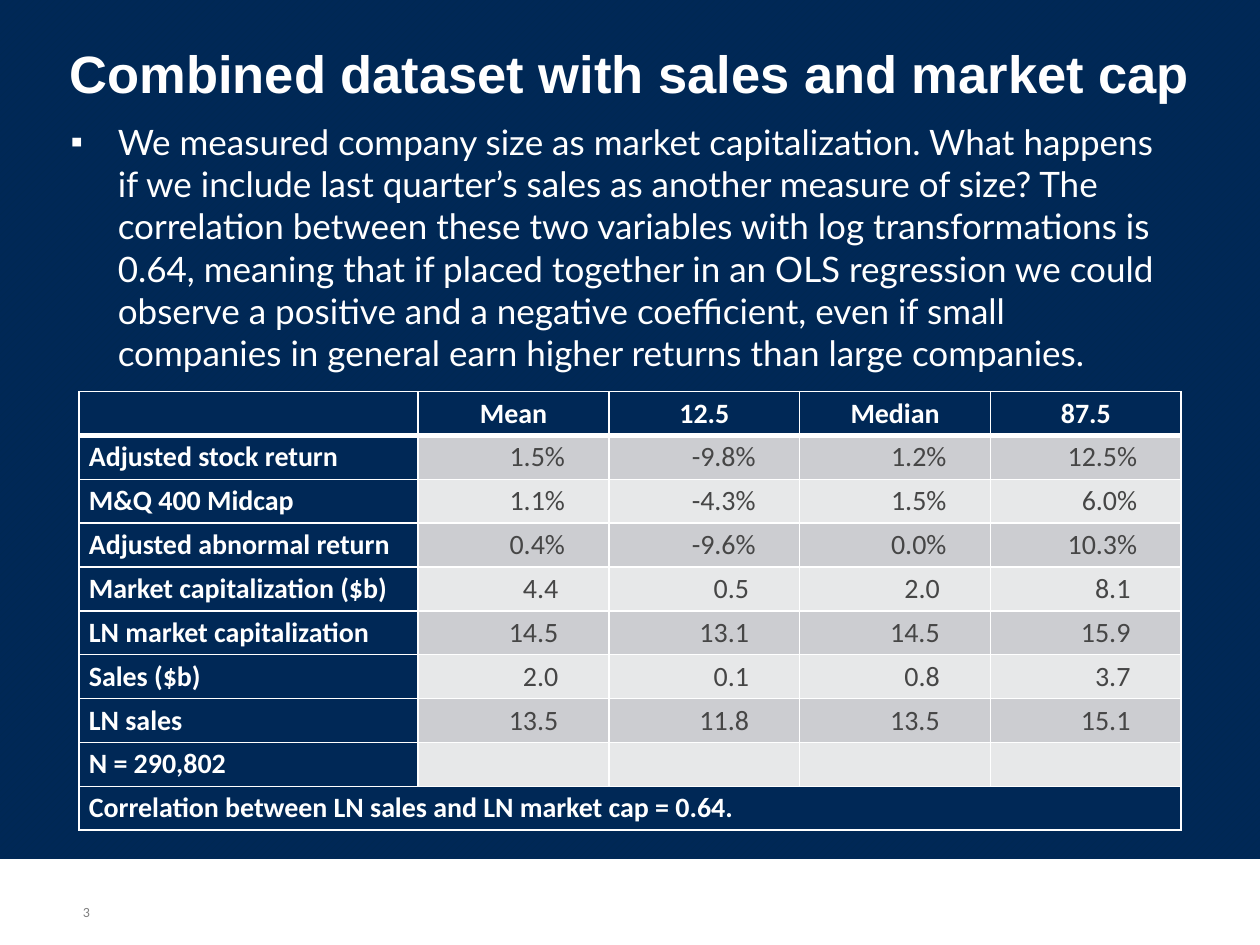
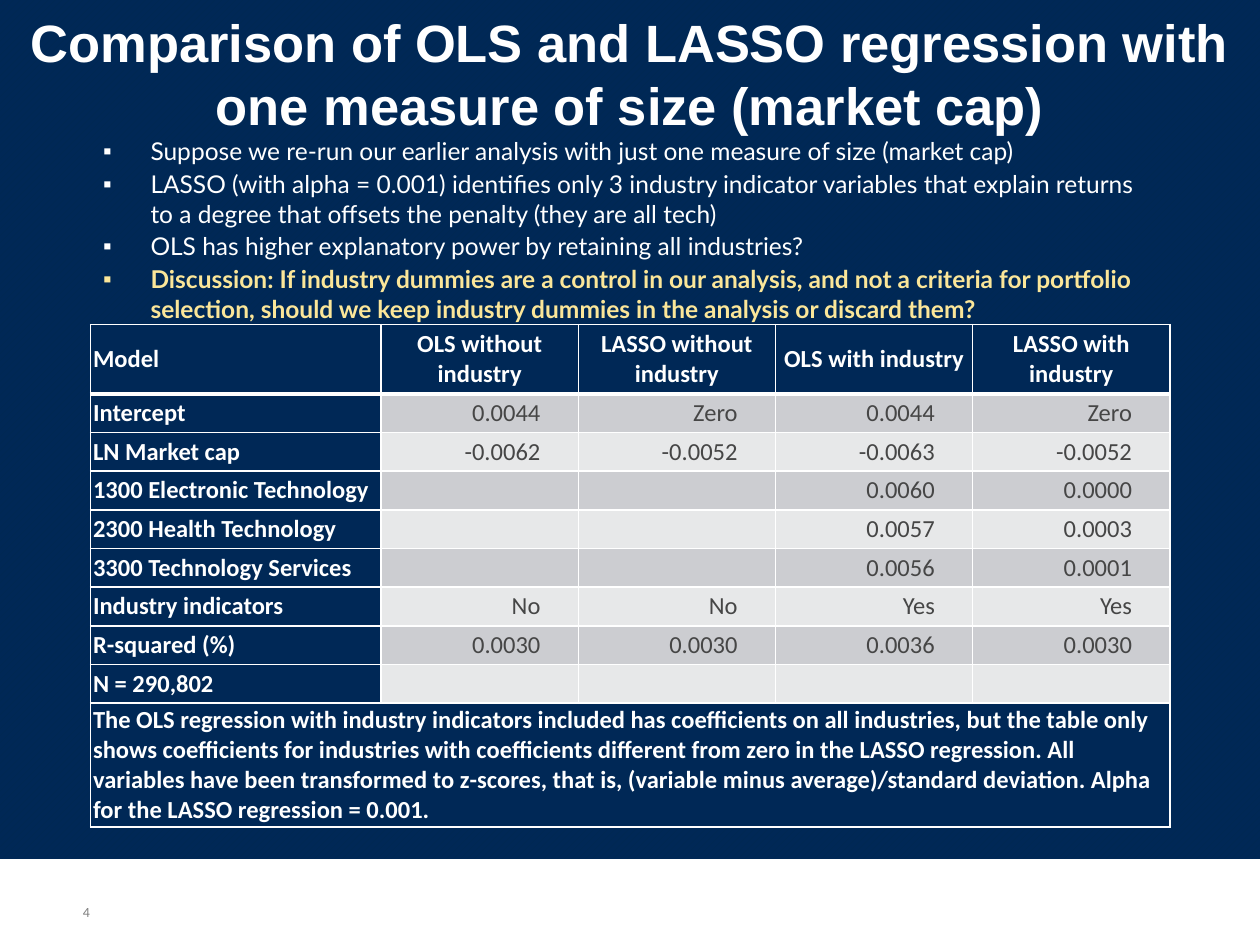
from dataclasses import dataclass

from lxml import etree
from pptx import Presentation
from pptx.dml.color import RGBColor
from pptx.enum.dml import MSO_PATTERN
from pptx.enum.shapes import MSO_SHAPE
from pptx.enum.text import MSO_ANCHOR, MSO_AUTO_SIZE, PP_ALIGN
from pptx.oxml.ns import qn
from pptx.util import Pt

RECTANGLE = MSO_SHAPE.RECTANGLE
DIAGONAL = MSO_PATTERN.WIDE_UPWARD_DIAGONAL
TOP, MIDDLE, BOTTOM = MSO_ANCHOR.TOP, MSO_ANCHOR.MIDDLE, MSO_ANCHOR.BOTTOM
LEFT, CENTER, RIGHT = PP_ALIGN.LEFT, PP_ALIGN.CENTER, PP_ALIGN.RIGHT
NO_AUTOFIT = MSO_AUTO_SIZE.NONE


@dataclass(frozen=True)
class Theme:
    navy: str = "002856"
    navy_stripe: str = "002850"
    white: str = "FFFFFF"
    highlight: str = "FBE699"
    value: str = "464646"
    number: str = "808080"
    stripes: tuple = ("CCCDD1", "E7E8E9")
    title_font: str = "Arial"
    body_font: str = "Lato"
    table_font: str = "Calibri"
    title_size: int = 30
    number_size: int = 8
    thin: int = 1
    thick: int = 3


THEME = Theme()
SLIDE_WIDTH, SLIDE_HEIGHT = 720, 540
BAND_TOP = 491
NUMBER_BOX = (40.3, 504, 26, 25.2)
BULLET_INDENT = 27

SLIDES = [
    {
        "number": "3",
        "title": "Combined dataset with sales and market cap",
        "title_box": (7.2, 18, 705.6, 46.8),
        "body_box": (33.1, 65.5, 641.5, 393.8),
        "body_size": 20,
        "bullets": [
            ("We measured company size as market capitalization. What happens if we include "
             "last quarter’s sales as another measure of size? The correlation between these "
             "two variables with log transformations is 0.64, meaning that if placed together "
             "in an OLS regression we could observe a positive and a negative coefficient, even "
             "if small companies in general earn higher returns than large companies.", False),
        ],
        "table": {
            "left": 45, "top": 223.8, "label_width": 194, "value_width": 109,
            "header_height": 25.06, "row_height": 25.06, "note_height": 25.06,
            "size": 16, "inset": 5.8, "value_inset": 29, "percent_inset": 25.2,
            "header": ["", "Mean", "12.5", "Median", "87.5"],
            "rows": [
                ["Adjusted stock return", "1.5%", "-9.8%", "1.2%", "12.5%"],
                ["M&Q 400 Midcap", "1.1%", "-4.3%", "1.5%", "6.0%"],
                ["Adjusted abnormal return", "0.4%", "-9.6%", "0.0%", "10.3%"],
                ["Market capitalization ($b)", "4.4", "0.5", "2.0", "8.1"],
                ["LN market capitalization", "14.5", "13.1", "14.5", "15.9"],
                ["Sales ($b)", "2.0", "0.1", "0.8", "3.7"],
                ["LN sales", "13.5", "11.8", "13.5", "15.1"],
                ["N = 290,802", "", "", "", ""],
            ],
            "note": "Correlation between LN sales and LN market cap = 0.64.",
        },
    },
    {
        "number": "4",
        "title": "Comparison of OLS and LASSO regression with one measure of size (market cap)",
        "title_box": (7.2, 0, 705.6, 83.5),
        "body_box": (51.8, 74.2, 617, 101.5),
        "body_size": 14,
        "bullets": [
            ("Suppose we re-run our earlier analysis with just one measure of size (market cap)",
             False),
            ("LASSO (with alpha = 0.001) identifies only 3 industry indicator variables that "
             "explain returns to a degree that offsets the penalty (they are all tech)", False),
            ("OLS has higher explanatory power by retaining all industries?", False),
            ("Discussion: If industry dummies are a control in our analysis, and not a criteria "
             "for portfolio selection, should we keep industry dummies in the analysis or "
             "discard them?", True),
        ],
        "table": {
            "left": 51.8, "top": 185.5, "label_width": 166, "value_width": 112.7,
            "header_height": 39.6, "row_height": 22.1, "note_height": 70,
            "size": 14, "inset": 1.4, "value_inset": 21.6, "percent_inset": 21.6,
            "header": ["Model", "OLS without industry", "LASSO without industry",
                       "OLS with industry", "LASSO with industry"],
            "rows": [
                ["Intercept", "0.0044", "Zero", "0.0044", "Zero"],
                ["LN Market cap", "-0.0062", "-0.0052", "-0.0063", "-0.0052"],
                ["1300 Electronic Technology", "", "", "0.0060", "0.0000"],
                ["2300 Health Technology", "", "", "0.0057", "0.0003"],
                ["3300 Technology Services", "", "", "0.0056", "0.0001"],
                ["Industry indicators", "No", "No", "Yes", "Yes"],
                ["R-squared (%)", "0.0030", "0.0030", "0.0036", "0.0030"],
                ["N = 290,802", "", "", "", ""],
            ],
            "note": "The OLS regression with industry indicators included has coefficients on "
                    "all industries, but the table only shows coefficients for industries with "
                    "coefficients different from zero in the LASSO regression. All variables "
                    "have been transformed to z-scores, that is, (variable minus "
                    "average)/standard deviation. Alpha for the LASSO regression = 0.001.",
        },
    },
]


def rgb(color):
    return RGBColor.from_string(color)


def place(shape, box):
    shape.left, shape.top, shape.width, shape.height = (Pt(length) for length in box)


def add_run(paragraph, text, font, size, color, bold=False):
    run = paragraph.add_run()
    run.text = text
    run.font.name = font
    run.font.size = Pt(size)
    run.font.bold = bold
    run.font.color.rgb = rgb(color)


def set_frame(frame, anchor):
    frame.word_wrap = True
    frame.auto_size = NO_AUTOFIT
    frame.vertical_anchor = anchor


def add_title(slide, text, box):
    title = slide.shapes.title
    place(title, box)
    frame = title.text_frame
    set_frame(frame, MIDDLE)
    frame.margin_left = frame.margin_right = frame.margin_top = frame.margin_bottom = Pt(5)
    frame.paragraphs[0].alignment = CENTER
    add_run(frame.paragraphs[0], text, THEME.title_font, THEME.title_size, THEME.white, True)


def add_bullets(slide, bullets, box, size):
    body = slide.placeholders[1]
    place(body, box)
    frame = body.text_frame
    set_frame(frame, TOP)
    for index, (text, highlighted) in enumerate(bullets):
        paragraph = frame.add_paragraph() if index else frame.paragraphs[0]
        paragraph.space_before = Pt(0)
        paragraph.space_after = Pt(2)
        properties = paragraph._p.get_or_add_pPr()
        properties.set("marL", str(Pt(BULLET_INDENT)))
        properties.set("indent", str(-Pt(BULLET_INDENT)))
        etree.SubElement(properties, qn("a:buChar"), char="▪")
        color = THEME.highlight if highlighted else THEME.white
        add_run(paragraph, text, THEME.body_font, size, color, highlighted)


def add_number(slide, text):
    box = slide.shapes.add_textbox(*(Pt(length) for length in NUMBER_BOX))
    set_frame(box.text_frame, BOTTOM)
    add_run(box.text_frame.paragraphs[0], text, THEME.table_font, THEME.number_size, THEME.number)


def set_borders(cell, top, bottom):
    properties = cell._tc.get_or_add_tcPr()
    widths = {"lnL": THEME.thin, "lnR": THEME.thin, "lnT": top, "lnB": bottom}
    for side, width in widths.items():
        line = etree.SubElement(properties, qn(f"a:{side}"), w=str(Pt(width)))
        fill = etree.SubElement(line, qn("a:solidFill"))
        etree.SubElement(fill, qn("a:srgbClr"), val=THEME.white)


def fill_cell(cell, text, row, column, last_row, data):
    is_value = 0 < row < last_row and column > 0
    set_borders(cell, THEME.thick if row == 1 else THEME.thin,
                THEME.thick if row == 0 else THEME.thin)
    cell.fill.solid()
    cell.fill.fore_color.rgb = rgb(THEME.stripes[(row - 1) % 2] if is_value else THEME.navy)
    cell.vertical_anchor = MIDDLE
    cell.margin_left = cell.margin_right = Pt(data["inset"])
    cell.margin_top = cell.margin_bottom = Pt(1.4)
    if is_value:
        cell.margin_right = Pt(data["percent_inset" if text.endswith("%") else "value_inset"])
    paragraph = cell.text_frame.paragraphs[0]
    if is_value:
        paragraph.alignment = RIGHT
    else:
        paragraph.alignment = CENTER if row == 0 and column else LEFT
    if text:
        color = THEME.value if is_value else THEME.white
        add_run(paragraph, text, THEME.table_font, data["size"], color, not is_value)
    else:
        etree.SubElement(paragraph._p, qn("a:endParaRPr"), sz=str(data["size"] * 100))


def add_data_table(slide, data):
    columns = len(data["header"])
    note_row = [data["note"]] + [""] * (columns - 1)
    rows = [data["header"], *data["rows"], note_row]
    last_row = len(rows) - 1
    widths = [data["label_width"]] + [data["value_width"]] * (columns - 1)
    heights = [data["header_height"], *[data["row_height"]] * len(data["rows"]),
               data["note_height"]]
    frame = slide.shapes.add_table(len(rows), columns, Pt(data["left"]), Pt(data["top"]),
                                   Pt(sum(widths)), Pt(sum(heights)))
    table = frame.table
    table.first_row = table.horz_banding = False
    for column, width in zip(table.columns, widths):
        column.width = Pt(width)
    for row, height in zip(table.rows, heights):
        row.height = Pt(height)
    for row, texts in enumerate(rows):
        for column, text in enumerate(texts):
            fill_cell(table.cell(row, column), text, row, column, last_row, data)
    table.cell(last_row, 0).merge(table.cell(last_row, columns - 1))


def style_master(master, slide):
    background = master.background.fill
    background.patterned()
    background.pattern = DIAGONAL
    background.fore_color.rgb = rgb(THEME.navy_stripe)
    background.back_color.rgb = rgb(THEME.navy)
    band = slide.shapes.add_shape(RECTANGLE, 0, Pt(BAND_TOP), Pt(SLIDE_WIDTH),
                                  Pt(SLIDE_HEIGHT - BAND_TOP))
    band.shadow.inherit = False
    band.fill.solid()
    band.fill.fore_color.rgb = rgb(THEME.white)
    band.line.fill.background()
    master.shapes.element.insert(2, band.element)


def main():
    presentation = Presentation()
    presentation.slide_width, presentation.slide_height = Pt(SLIDE_WIDTH), Pt(SLIDE_HEIGHT)
    for index, content in enumerate(SLIDES):
        slide = presentation.slides.add_slide(presentation.slide_layouts[1])
        if index == 0:
            style_master(presentation.slide_master, slide)
        add_title(slide, content["title"], content["title_box"])
        add_number(slide, content["number"])
        add_bullets(slide, content["bullets"], content["body_box"], content["body_size"])
        add_data_table(slide, content["table"])
    presentation.save("out.pptx")


if __name__ == "__main__":
    main()
